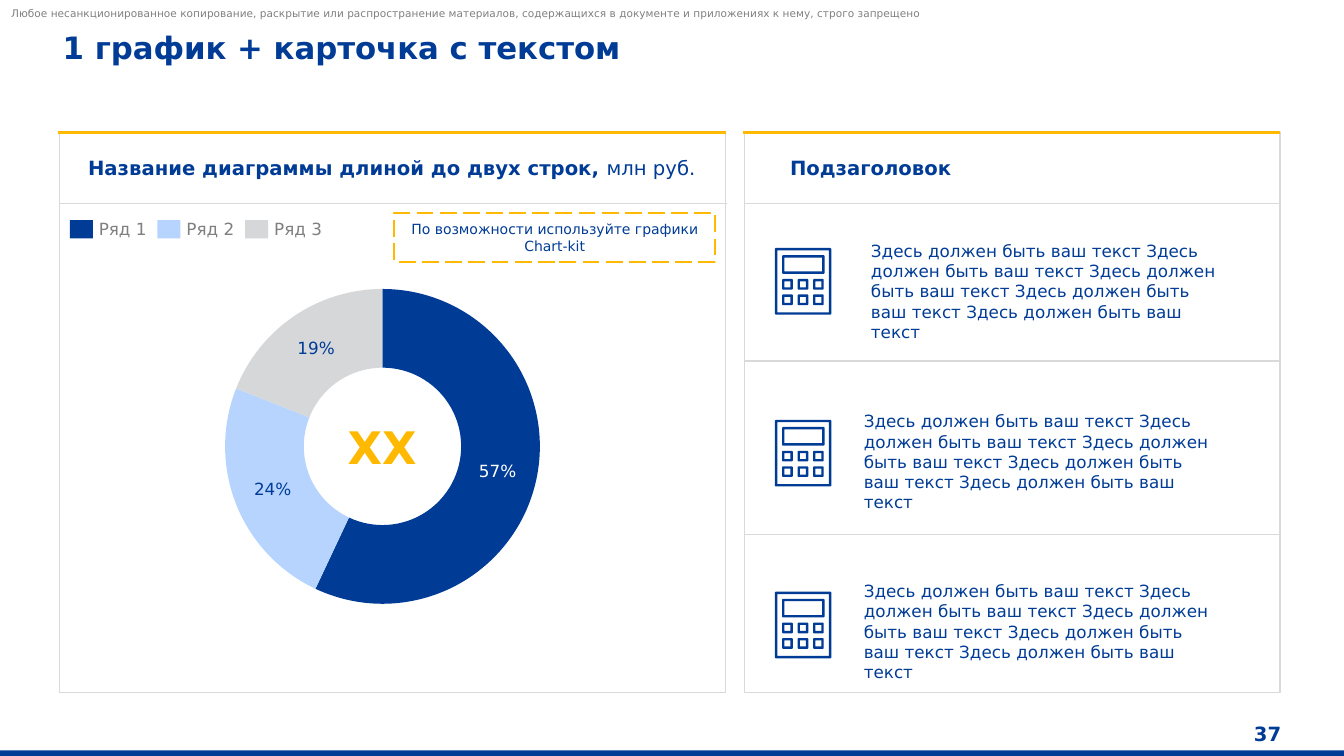
import pptx
import pptx.chart.data
import pptx.dml.color
import pptx.enum.chart
import pptx.enum.dml
import pptx.enum.shapes
import pptx.enum.text
import pptx.oxml
import pptx.oxml.ns
import pptx.util
from lxml import etree

Cm, Pt = pptx.util.Cm, pptx.util.Pt
Color = pptx.dml.color.RGBColor.from_string
Align, Anchor = pptx.enum.text.PP_ALIGN, pptx.enum.text.MSO_ANCHOR
RECTANGLE = pptx.enum.shapes.MSO_SHAPE.RECTANGLE


class Theme:
    font = "DejaVu Sans"
    blue, light_blue, light_gray = Color("003C96"), Color("B7D4FF"), Color("D6D7D9")
    yellow, border, white = Color("FFB900"), Color("D9D9D9"), Color("FFFFFF")
    legend, disclaimer = Color("7F7F7F"), Color("808080")
    title_size, heading_size, body_size = Pt(22), Pt(14), Pt(12)
    note_size, disclaimer_size, total_size = Pt(10), Pt(7.5), Pt(32)


def write_text(shape, text, size, color=Theme.blue, bold=False,
               anchor=Anchor.TOP, align=Align.LEFT, margins=(0, 0)):
    """Fill a shape with one formatted paragraph and return that paragraph."""
    frame = shape.text_frame
    frame.word_wrap = True
    frame.auto_size = pptx.enum.text.MSO_AUTO_SIZE.NONE
    frame.vertical_anchor = anchor
    frame.margin_left = frame.margin_right = Cm(margins[0])
    frame.margin_top = frame.margin_bottom = Cm(margins[1])
    paragraph = frame.paragraphs[0]
    paragraph.text = text
    paragraph.alignment = align
    paragraph.font.name, paragraph.font.size = Theme.font, size
    paragraph.font.color.rgb, paragraph.font.bold = color, bold
    return paragraph


def add_rule(shapes, left, right, y, color, width):
    """Draw a horizontal line without a shadow."""
    rule = shapes.add_connector(
        pptx.enum.shapes.MSO_CONNECTOR.STRAIGHT, Cm(left), Cm(y), Cm(right), Cm(y))
    rule.line.color.rgb, rule.line.width = color, Pt(width)
    properties = rule.element.find(pptx.oxml.ns.qn("p:spPr"))
    etree.SubElement(properties, pptx.oxml.ns.qn("a:effectLst"))


presentation = pptx.Presentation()
presentation.slide_width, presentation.slide_height = Cm(33.87), Cm(19.05)
slide = presentation.slides.add_slide(presentation.slide_layouts[5])
shapes = slide.shapes

# Title, disclaimer, page number
title = shapes.title
title.left, title.top, title.width, title.height = Cm(1.58), Cm(0.73), Cm(27.79), Cm(0.94)
write_text(title, "1 график + карточка с текстом", Theme.title_size, bold=True)

disclaimer = shapes.add_textbox(Cm(0.28), Cm(0.16), Cm(29.16), Cm(0.33))
write_text(disclaimer, "Любое несанкционированное копирование, раскрытие или распространение "
           "материалов, содержащихся в документе и приложениях к нему, строго запрещено",
           Theme.disclaimer_size, Theme.disclaimer, anchor=Anchor.BOTTOM)

page_number = shapes.add_textbox(Cm(30.84), Cm(18.19), Cm(1.45), Cm(0.61))
write_text(page_number, "37", Theme.heading_size, bold=True,
           anchor=Anchor.MIDDLE, align=Align.RIGHT)

# Footer bar and legend swatches
series_colors = [Theme.blue, Theme.light_blue, Theme.light_gray]
legend_step = 2.21
blocks = [(0, 18.91, 33.87, 0.14, Theme.blue)]
for index, color in enumerate(series_colors):
    blocks.append((1.76 + index * legend_step, 5.55, 0.58, 0.46, color))
    label = shapes.add_textbox(Cm(2.49 + index * legend_step), Cm(5.57), Cm(1.19), Cm(0.46))
    paragraph = write_text(label, f"Ряд {index + 1}", Theme.body_size, Theme.legend,
                           anchor=Anchor.MIDDLE)
    paragraph.line_spacing = 0.9
    label.text_frame.word_wrap = False
for left, top, width, height, color in blocks:
    block = shapes.add_shape(RECTANGLE, Cm(left), Cm(top), Cm(width), Cm(height))
    block.shadow.inherit = False
    block.fill.solid()
    block.fill.fore_color.rgb = color
    block.line.fill.background()

# Cards: left, width, divider heights
card_top, card_height = 3.33, 14.12
for left, width, dividers in [(1.5, 16.79, [5.13]), (18.77, 13.49, [5.13, 9.1, 13.47])]:
    card = shapes.add_group_shape()
    outline = card.shapes.add_shape(
        RECTANGLE, Cm(left), Cm(card_top), Cm(width), Cm(card_height))
    outline.shadow.inherit = False
    outline.fill.background()
    outline.line.color.rgb, outline.line.width = Theme.border, Pt(1)
    add_rule(card.shapes, left - 0.04, left + width, card_top, Theme.yellow, 2.25)
    for y in dividers:
        add_rule(card.shapes, left, left + width + 0.02, y, Theme.border, 1)

# Doughnut chart
chart_data = pptx.chart.data.CategoryChartData(number_format='0"%"')
chart_data.categories = ["1", "2", "3"]
chart_data.add_series("Series 1", [57, 24, 19])
chart = shapes.add_chart(pptx.enum.chart.XL_CHART_TYPE.DOUGHNUT,
                         Cm(5.42), Cm(7.03), Cm(8.44), Cm(8.44), chart_data).chart
chart.has_legend = chart.has_title = False
chart.font.name, chart.font.size = Theme.font, Theme.body_size
chart.font.color.rgb = Theme.blue
plot = chart.plots[0]
plot.vary_by_categories = True
plot.has_data_labels = True
plot.data_labels.show_value = True
plot.data_labels.show_percentage = False
for index, color in enumerate(series_colors):
    point = plot.series[0].points[index]
    point.format.fill.solid()
    point.format.fill.fore_color.rgb = color
    point.format.line.fill.background()
    label_font = point.data_label.font
    label_font.name, label_font.size = Theme.font, Theme.body_size
    label_font.color.rgb = Theme.white if index == 0 else Theme.blue
chart.element.xpath(".//c:holeSize")[0].set("val", "65")
plot_area = chart.element.xpath(".//c:plotArea")[0]
for layout in plot_area.xpath("./c:layout"):
    plot_area.remove(layout)
plot_area.insert(0, pptx.oxml.parse_xml(
    f'<c:layout {pptx.oxml.ns.nsdecls("c")}><c:manualLayout><c:layoutTarget val="inner"/>'
    '<c:xMode val="edge"/><c:yMode val="edge"/><c:x val="0.03"/><c:y val="0.03"/>'
    '<c:w val="0.94"/><c:h val="0.94"/></c:manualLayout></c:layout>'))

total = shapes.add_textbox(Cm(7.98), Cm(10.57), Cm(3.3), Cm(1.37))
write_text(total, "XX", Theme.total_size, Theme.yellow, bold=True, align=Align.CENTER)

# Card headings and note
chart_heading = shapes.add_textbox(Cm(2.22), Cm(3.99), Cm(15.77), Cm(0.53))
paragraph = write_text(chart_heading, "Название диаграммы длиной до двух строк, ",
                       Theme.heading_size, bold=True, anchor=Anchor.BOTTOM)
paragraph.line_spacing = 0.9
unit = paragraph.add_run()
unit.text = "млн руб."
unit.font.bold = False

subheading = shapes.add_textbox(Cm(19.91), Cm(3.92), Cm(11.61), Cm(0.61))
write_text(subheading, "Подзаголовок", Theme.heading_size, bold=True, anchor=Anchor.BOTTOM)

note = shapes.add_shape(RECTANGLE, Cm(9.94), Cm(5.37), Cm(8.08), Cm(1.23))
note.shadow.inherit = False
note.fill.solid()
note.fill.fore_color.rgb = Theme.white
note.line.color.rgb, note.line.width = Theme.yellow, Pt(1.5)
note.line.dash_style = pptx.enum.dml.MSO_LINE.LONG_DASH
write_text(note, "По возможности используйте графики Chart-kit", Theme.note_size,
           anchor=Anchor.MIDDLE, align=Align.CENTER, margins=(0.1, 0.13))

# Text rows with calculator icons; icon parts are frames: left, top, width, height
calculator_parts = [(0, 0, 1.42, 1.68), (0.18, 0.18, 1.07, 0.47)]
calculator_parts += [(0.18 + column * 0.39, 0.78 + row * 0.39, 0.27, 0.27)
                     for row in range(2) for column in range(3)]
stroke, bevel = Cm(0.06), Cm(0.02)
row_text = " ".join(["Здесь должен быть ваш текст"] * 5)
for row, (text_left, text_top) in enumerate([(21.95, 6.07), (21.77, 10.36), (21.77, 14.64)]):
    body = shapes.add_textbox(Cm(text_left), Cm(text_top), Cm(8.97), Cm(2.06))
    write_text(body, row_text, Theme.body_size)

    icon = shapes.add_group_shape()
    for part_left, part_top, width, height in calculator_parts:
        left, top = Cm(19.53 + part_left), Cm(6.25 + row * 4.33 + part_top)
        right, bottom = left + Cm(width), top + Cm(height)
        outer = [(left + bevel, top), (right - bevel, top), (right, top + bevel),
                 (right, bottom - bevel), (right - bevel, bottom), (left + bevel, bottom),
                 (left, bottom - bevel), (left, top + bevel)]
        inner = [(left + stroke, top + stroke), (left + stroke, bottom - stroke),
                 (right - stroke, bottom - stroke), (right - stroke, top + stroke)]
        builder = icon.shapes.build_freeform(*outer[0])
        builder.add_line_segments(outer[1:])
        builder.move_to(*inner[0])
        builder.add_line_segments(inner[1:])
        frame = builder.convert_to_shape()
        frame.shadow.inherit = False
        frame.fill.solid()
        frame.fill.fore_color.rgb = Theme.blue
        frame.line.fill.background()

presentation.save("out.pptx")
